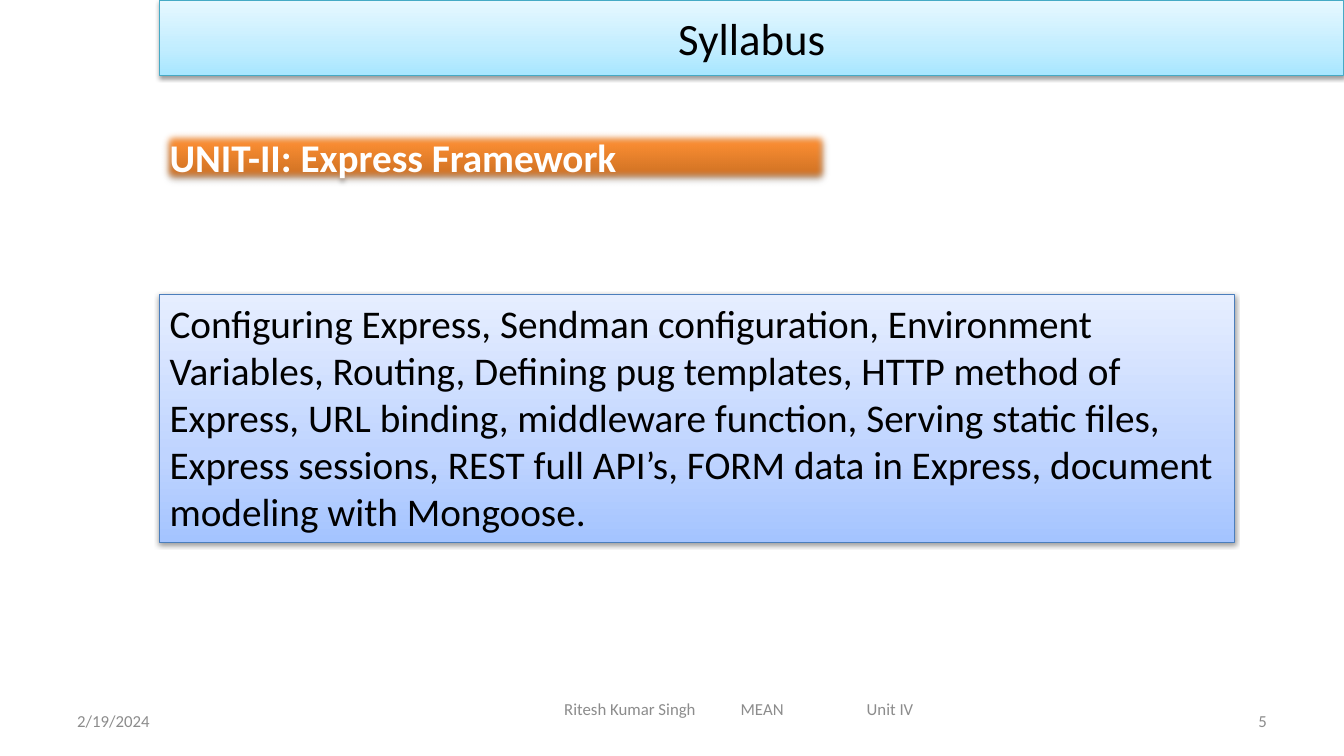
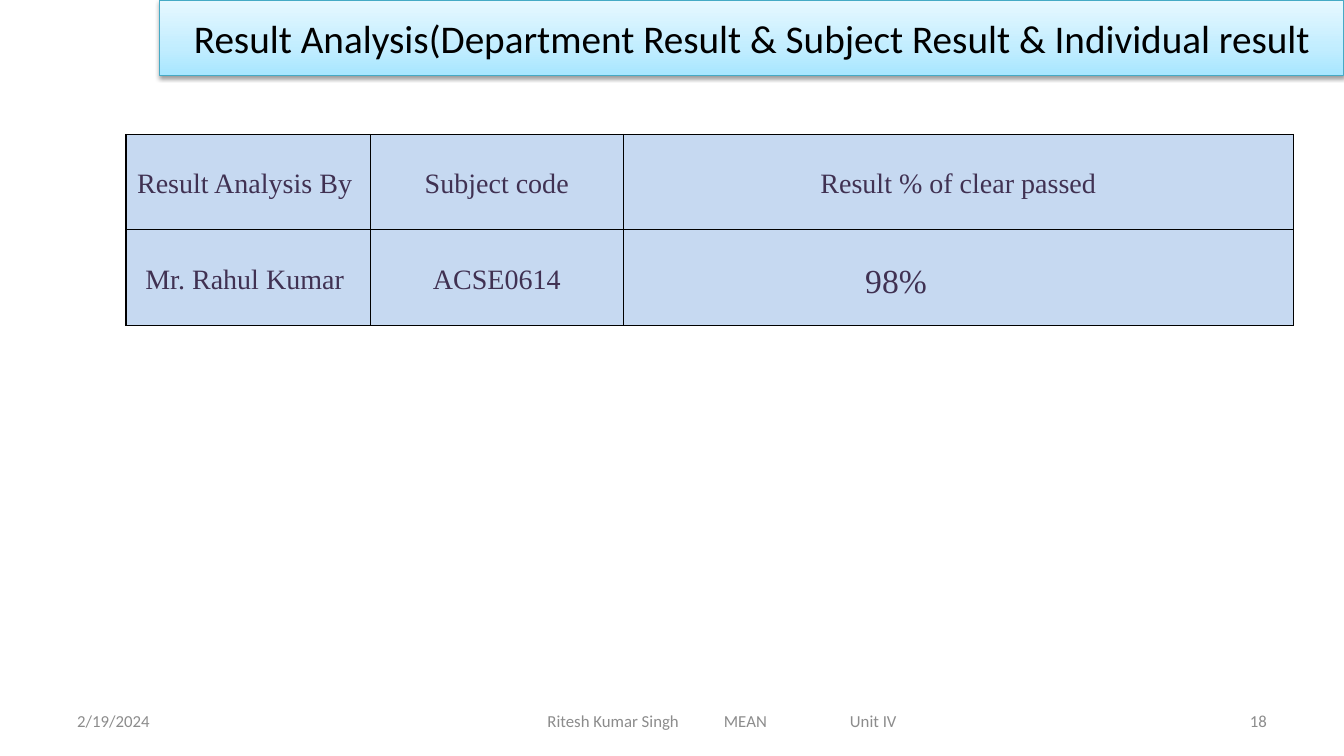
from pptx import Presentation, util as u
from pptx.dml.color import RGBColor
from pptx.enum import shapes, text
from pptx.oxml import parse_xml
from pptx.oxml.ns import nsdecls, qn

WIDE, HIGH = u.Inches(13.33), u.Inches(7.5)
COLS, ROWS = 160, 90
EDGE = 19  # column where the title band and the boxes begin

BLACK = RGBColor(0, 0, 0)
WHITE = RGBColor(255, 255, 255)
GREY = RGBColor(0x8C, 0x8C, 0x8C)
PLUM = RGBColor(0x40, 0x31, 0x52)
PALE = RGBColor(0xC6, 0xD9, 0xF1)

AQUA = {"stops": ((0, "A7E6FF"), (35, "C1EDFF"), (100, "E7F8FF")),
        "line": RGBColor(0x46, 0xAA, 0xC5)}
BLUE = {"stops": ((0, "A4C4FF"), (35, "BFD4FF"), (100, "E6EEFF")),
        "line": RGBColor(0x4B, 0x7E, 0xBC)}
RUST = {"stops": ((0, "C2691F"), (80, "FF9034"), (100, "FF9136")),
        "soft": 6, "shade": 35}

LEFT, MID, RIGHT = (text.PP_ALIGN.LEFT, text.PP_ALIGN.CENTER,
                    text.PP_ALIGN.RIGHT)
TOP, CORE = text.MSO_ANCHOR.TOP, text.MSO_ANCHOR.MIDDLE

DATE = "2/19/2024"
CREDIT = "Ritesh Kumar Singh\tMEAN\tUnit IV"
TABS = 1.75, 3
SPAN = 3.47  # inches from the first to the last letter of the credit


def col(n):
    return round(WIDE * n / COLS)


def row(n):
    return round(HIGH * n / ROWS)


def place(x, y, w, h):
    return col(x), row(y), col(w), row(h)


def write(frame, words, align=LEFT, anchor=CORE, tabs=(), **font):
    frame.word_wrap = True
    frame.vertical_anchor = anchor
    para = frame.paragraphs[0]
    para.text = words
    para.alignment = align
    if tabs:
        stops = "".join(f'<a:tab pos="{u.Inches(t)}" algn="l"/>' for t in tabs)
        para._p.get_or_add_pPr().append(
            parse_xml(f'<a:tabLst {nsdecls("a")}>{stops}</a:tabLst>'))
    style(para.font, **font)
    return para


def style(font, color=BLACK, **look):
    for key, value in {"name": "Calibri", **look}.items():
        setattr(font, key, value)
    font.color.rgb = color


def panel(slide, area, look, words, **form):
    """Rectangle with an upward gradient and a drop shadow."""
    box = slide.shapes.add_shape(shapes.MSO_SHAPE.RECTANGLE, *place(*area))
    props = box._element.spPr
    box.fill.gradient()
    stops = "".join(
        f'<a:gs pos="{at * 1000}"><a:srgbClr val="{hue}"/></a:gs>'
        for at, hue in look["stops"])
    props.replace(props.find(qn("a:gradFill")), parse_xml(
        f'<a:gradFill {nsdecls("a")} rotWithShape="1"><a:gsLst>{stops}'
        '</a:gsLst><a:lin ang="16200000" scaled="0"/></a:gradFill>'))
    if "line" in look:
        box.line.color.rgb = look["line"]
        box.line.width = u.Pt(0.75)
    else:
        box.line.fill.background()
    box.shadow.inherit = False
    fx = props.find(qn("a:effectLst"))
    fx.append(parse_xml(
        f'<a:outerShdw {nsdecls("a")} blurRad="40000" dist="20000" '
        'dir="5400000" rotWithShape="0"><a:srgbClr val="000000">'
        f'<a:alpha val="{look.get("shade", 38) * 1000}"/></a:srgbClr>'
        '</a:outerShdw>'))
    if "soft" in look:
        fx.append(parse_xml(f'<a:softEdge {nsdecls("a")} '
                            f'rad="{u.Pt(look["soft"])}"/>'))
    write(box.text_frame, words, **form)


def label(slide, area, words, **form):
    box = slide.shapes.add_textbox(*place(*area))
    write(box.text_frame, words, size=u.Pt(12), color=GREY, **form)
    return box


def base(deck, title, size, page, credit):
    """Blank slide with its footer and title band."""
    slide = deck.slides.add_slide(deck.slide_layouts[6])
    x, y, w = credit
    label(slide, (8, 83.4, 37.3, 4.8), DATE)
    box = label(slide, (x, y, w, 4.8), CREDIT, tabs=TABS)
    box.text_frame.margin_left = (box.width - u.Inches(SPAN)) // 2
    label(slide, (114.7, 83.4, 37.3, 4.8), page, align=RIGHT)
    panel(slide, (EDGE, 0, COLS - EDGE, 9), AQUA, title, align=MID,
          size=u.Pt(size))
    return slide


def frame(cell):
    props = cell._tc.get_or_add_tcPr()
    for n, side in enumerate(("lnL", "lnR", "lnT", "lnB")):
        props.insert(n, parse_xml(
            f'<a:{side} {nsdecls("a")} w="12700"><a:solidFill>'
            f'<a:srgbClr val="{BLACK}"/></a:solidFill></a:{side}>'))


def grid(slide, x, y, widths, tall, data):
    table = slide.shapes.add_table(
        len(data), len(widths),
        *place(x, y, sum(widths), tall * len(data))).table
    table.first_row = table.horz_banding = False
    for n, wide in enumerate(widths):
        table.columns[n].width = col(wide)
    for r, line in enumerate(data):
        table.rows[r].height = row(tall)
        for c, words in enumerate(line):
            cell = table.cell(r, c)
            cell.fill.solid()
            cell.fill.fore_color.rgb = PALE
            cell.margin_left = cell.margin_right = u.Inches(0.07)
            cell.margin_top = cell.margin_bottom = 0
            para = write(cell.text_frame, words, align=MID, size=u.Pt(20),
                         name="Times New Roman", color=PLUM)
            cell.vertical_anchor = CORE
            para.line_spacing = 1.15
            frame(cell)
    return table


def topics(deck):
    slide = base(deck, "Syllabus", 32, "5", (57, 82, 62))
    panel(slide, (EDGE, 15.3, 80, 6.8), RUST, "UNIT-II: Express Framework",
          anchor=TOP, size=u.Pt(28), bold=True, color=WHITE)
    panel(slide, (EDGE, 35.05, 128, 29.5), BLUE,
          "Configuring Express, Sendman configuration, Environment "
          "Variables, Routing, Defining pug templates, HTTP method of "
          "Express, URL binding, middleware function, Serving static files, "
          "Express sessions, REST full API’s, FORM data in Express, "
          "document modeling with Mongoose.",
          anchor=TOP, size=u.Pt(28))


def results(deck):
    slide = base(
        deck,
        "Result Analysis(Department Result & Subject Result & "
        "Individual result", 28, "18", (53, 83.4, 66))
    table = grid(slide, 15, 16, (29.1, 30.1, 79.8), 11.37, (
        ("Result Analysis By ", "Subject code", "Result % of clear passed"),
        ("Mr. Rahul Kumar ", "ACSE0614", "98%")))
    score = table.cell(1, 2)
    score.margin_left = u.Inches(2.4)
    score.margin_top = u.Inches(0.04)
    para = score.text_frame.paragraphs[0]
    para.alignment = LEFT
    para.font.size = u.Pt(24)


def main():
    deck = Presentation()
    deck.slide_width, deck.slide_height = WIDE, HIGH
    topics(deck)
    results(deck)
    deck.save("out.pptx")


if __name__ == "__main__":
    main()
